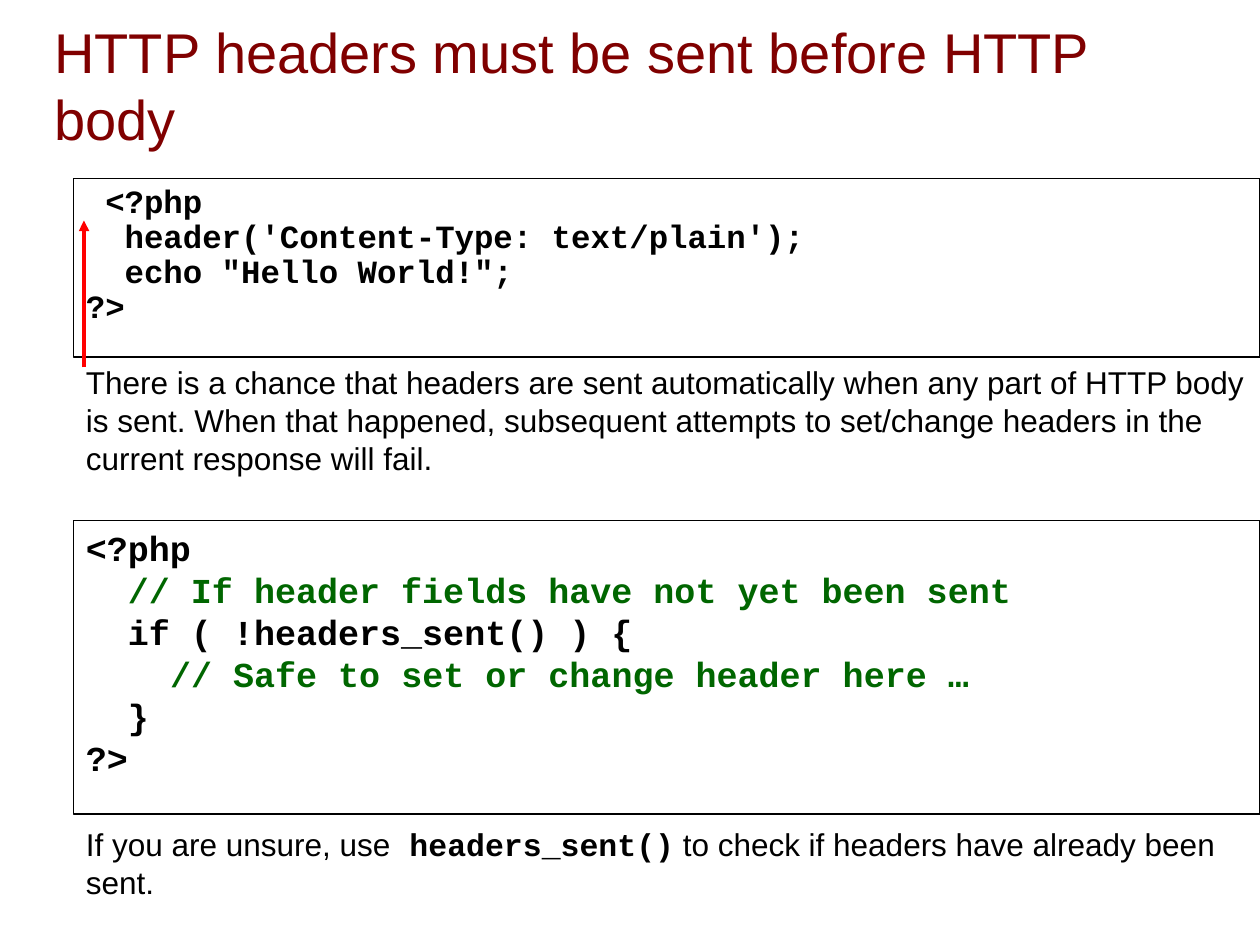
from lxml.etree import SubElement
from pptx import Presentation
from pptx.dml.color import RGBColor
from pptx.enum.shapes import MSO_CONNECTOR, MSO_SHAPE
from pptx.enum.text import MSO_ANCHOR, PP_ALIGN
from pptx.oxml.ns import qn
from pptx.util import Pt

COLORS = {
    "title": "800000",
    "text": "000000",
    "comment": "006600",
    "arrow": "FF0000",
    "paper": "FFFFFF",
}
BODY, CODE = "Arial", "Courier New"
LEFT, WIDTH = 42, 678


def color(name):
    return RGBColor.from_string(COLORS[name])


def write(shape, lines, size, spacing=1.2, anchor=MSO_ANCHOR.TOP):
    frame = shape.text_frame
    frame.word_wrap = True
    frame.vertical_anchor = anchor
    for index, line in enumerate(lines):
        paragraph = frame.add_paragraph() if index else frame.paragraphs[0]
        paragraph.alignment = PP_ALIGN.LEFT
        paragraph.line_spacing = Pt(size * spacing)
        for text, font, color_name in line:
            run = paragraph.add_run()
            run.text = text
            run.font.name = font
            run.font.size = Pt(size)
            run.font.bold = font == CODE
            run.font.color.rgb = color(color_name)


presentation = Presentation()
presentation.slide_width = Pt(720)
presentation.slide_height = Pt(540)
slide = presentation.slides.add_slide(presentation.slide_layouts[6])
shapes = slide.shapes

title = shapes.add_textbox(Pt(24), Pt(13), Pt(684), Pt(71))
write(title, [[("HTTP headers must be sent before HTTP body", BODY, "title")]],
      32, anchor=MSO_ANCHOR.MIDDLE)

header_code = [
    [(" <?php", CODE, "text")],
    [("  header('Content-Type: text/plain');", CODE, "text")],
    [('  echo "Hello World!";', CODE, "text")],
    [("?>", CODE, "text")],
]
check_code = [
    [("<?php", CODE, "text")],
    [("  // If header fields have not yet been sent", CODE, "comment")],
    [("  if ( !headers_sent() ) {", CODE, "text")],
    [("    ", CODE, "text"),
     ("// Safe to set or change header here …", CODE, "comment")],
    [("  }", CODE, "text")],
    [("?>", CODE, "text")],
]
for top, height, lines, size, spacing in [
    (102, 102, header_code, 18.5, 1.08),
    (297.25, 168, check_code, 20, 1.2),
]:
    code_box = shapes.add_shape(MSO_SHAPE.RECTANGLE, Pt(LEFT), Pt(top), Pt(WIDTH), Pt(height))
    code_box.shadow.inherit = False
    code_box.fill.solid()
    code_box.fill.fore_color.rgb = color("paper")
    code_box.line.color.rgb = color("text")
    code_box.line.width = Pt(0.75)
    write(code_box, lines, size, spacing)

warning = [
    ("There is a chance that headers are sent automatically when any part of HTTP body "
     "is sent. When that happened, subsequent attempts to set/change headers in the "
     "current response will fail.", BODY, "text"),
]
advice = [
    ("If you are unsure, use", BODY, "text"),
    (" headers_sent()", CODE, "text"),
    (" to check if headers have already been sent.", BODY, "text"),
]
for top, height, line in [(204, 72, warning), (468, 50.4, advice)]:
    note = shapes.add_textbox(Pt(LEFT), Pt(top), Pt(WIDTH), Pt(height))
    write(note, [line], 18)

arrow = shapes.add_connector(MSO_CONNECTOR.STRAIGHT, Pt(48), Pt(210), Pt(48), Pt(126))
arrow.line.color.rgb = color("arrow")
arrow.line.width = Pt(2)
SubElement(arrow.line._get_or_add_ln(), qn("a:tailEnd"), type="triangle")
SubElement(arrow._element.spPr, qn("a:effectLst"))

presentation.save("out.pptx")
